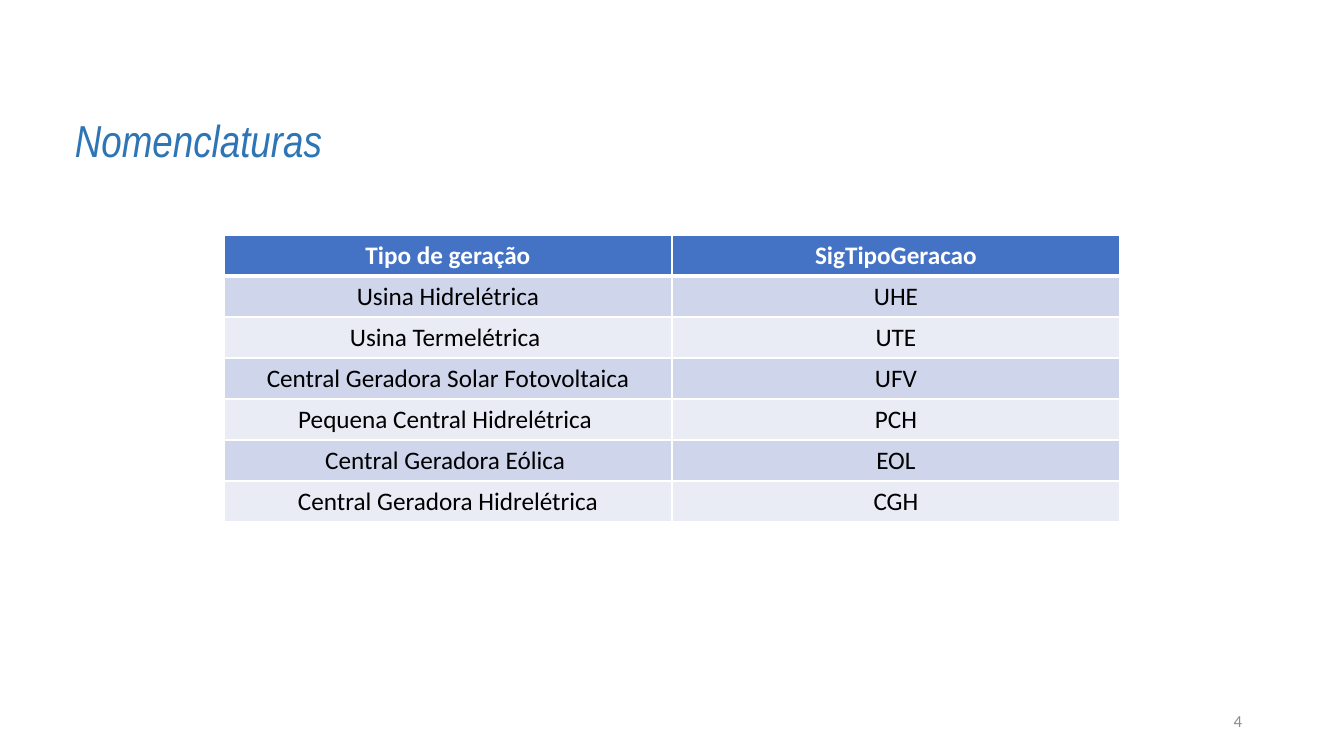
import lxml.etree
import pptx
import pptx.dml.color
import pptx.enum.text
import pptx.oxml.ns
import pptx.util

SCALE = 914400 / 100.8
ALIGN = pptx.enum.text.PP_ALIGN
ANCHOR = pptx.enum.text.MSO_ANCHOR
ROWS = [
    ("Tipo de geração", "SigTipoGeracao"),
    ("Usina Hidrelétrica", "UHE"),
    ("Usina Termelétrica ", "UTE"),
    ("Central Geradora Solar Fotovoltaica", "UFV"),
    ("Pequena Central Hidrelétrica ", "PCH"),
    ("Central Geradora Eólica ", "EOL"),
    ("Central Geradora Hidrelétrica", "CGH"),
]


def px(n):
    """Turn picture pixels into EMU."""
    return pptx.util.Emu(round(n * SCALE))


def rgb(color):
    """Turn a hex string into a colour."""
    return pptx.dml.color.RGBColor.from_string(color)


def set_text(tf, text, size, font, color, align, bold=False, italic=False):
    """Write one formatted paragraph into a text frame."""
    tf.text = text
    p = tf.paragraphs[0]
    p.alignment = align
    f = p.runs[0].font
    f.size, f.name = pptx.util.Pt(size), font
    f.bold, f.italic = bold, italic
    f.color.rgb = rgb(color)


def add_text(s, box, text, size, font, color, align=ALIGN.LEFT, anchor=ANCHOR.TOP, italic=False):
    """Add a wrapping text box."""
    tf = s.shapes.add_textbox(*map(px, box)).text_frame
    tf.word_wrap = True
    tf.vertical_anchor = anchor
    set_text(tf, text, size, font, color, align, italic=italic)


def set_borders(cell, color, widths):
    """Draw the cell borders, with widths in points by side."""
    qn = pptx.oxml.ns.qn
    tc_pr = cell._tc.get_or_add_tcPr()
    for side, width in widths.items():
        ln = lxml.etree.SubElement(tc_pr, qn("a:ln" + side), w=str(pptx.util.Pt(width)))
        fill = lxml.etree.SubElement(ln, qn("a:solidFill"))
        lxml.etree.SubElement(fill, qn("a:srgbClr"), val=color)


def add_table(s, left, top, col_width, row_height, rows):
    """Add a table with a header row and banded body rows."""
    n_rows, n_cols = len(rows), len(rows[0])
    box = left, top, col_width * n_cols, row_height * n_rows
    table = s.shapes.add_table(n_rows, n_cols, *map(px, box)).table
    for i, row in enumerate(rows):
        header = i == 0
        band = "4472C4" if header else ("E9EBF5", "CFD5EA")[i % 2]
        widths = {"L": 1, "R": 1, "T": 3 if i == 1 else 1, "B": 3 if header else 1}
        for j, text in enumerate(row):
            cell = table.cell(i, j)
            set_borders(cell, "FFFFFF", widths)
            cell.fill.solid()
            cell.fill.fore_color.rgb = rgb(band)
            color = "FFFFFF" if header else "000000"
            set_text(cell.text_frame, text, 18, "Calibri", color, ALIGN.CENTER, bold=header)


def main():
    """Build the slide and save it."""
    prs = pptx.Presentation()
    prs.slide_width, prs.slide_height = px(1344), px(756)
    s = prs.slides.add_slide(prs.slide_layouts[6])
    add_table(s, 224, 235, 448, 41, ROWS)
    add_text(s, (950, 701, 302, 40), "4", 12, "Calibri", "8C8C8C", ALIGN.RIGHT, ANCHOR.MIDDLE)
    add_text(s, (65, 108, 1214, 65), "Nomenclaturas", 32, "Arial Narrow", "2E75B6", italic=True)
    prs.save("out.pptx")


main()
